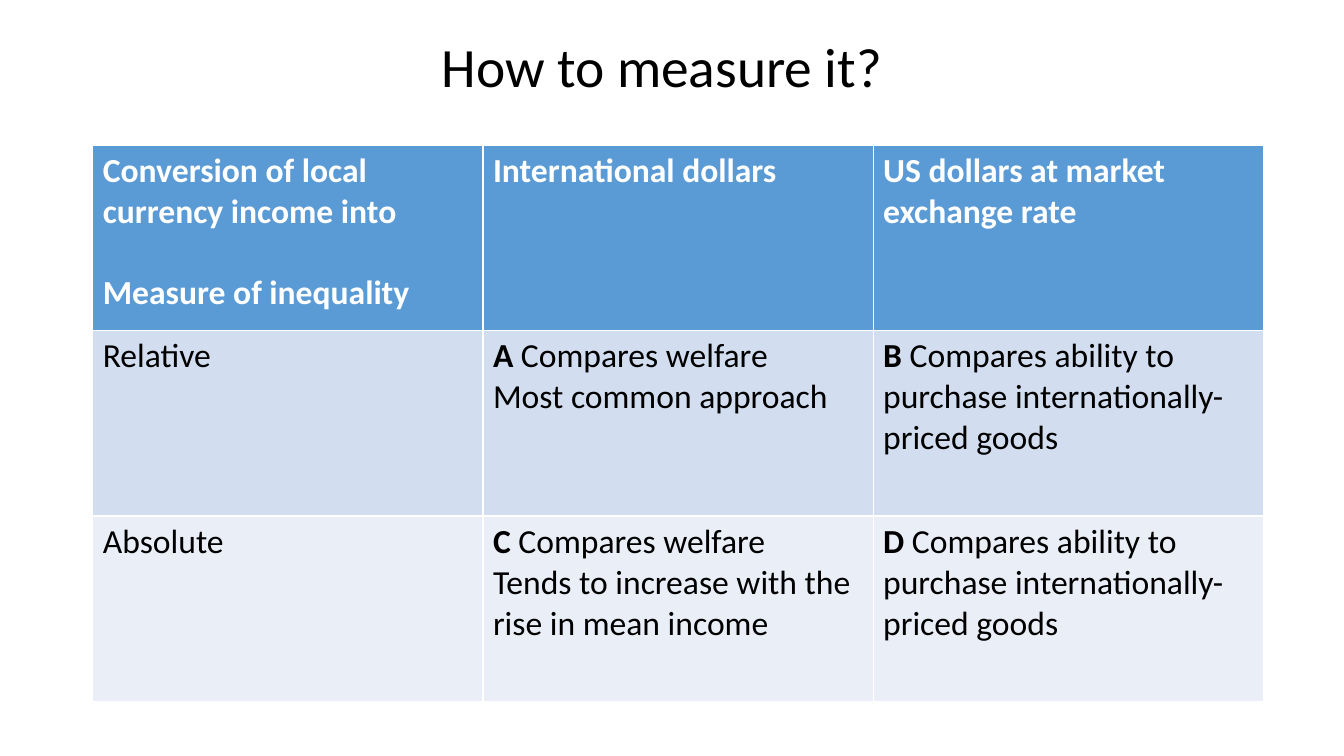
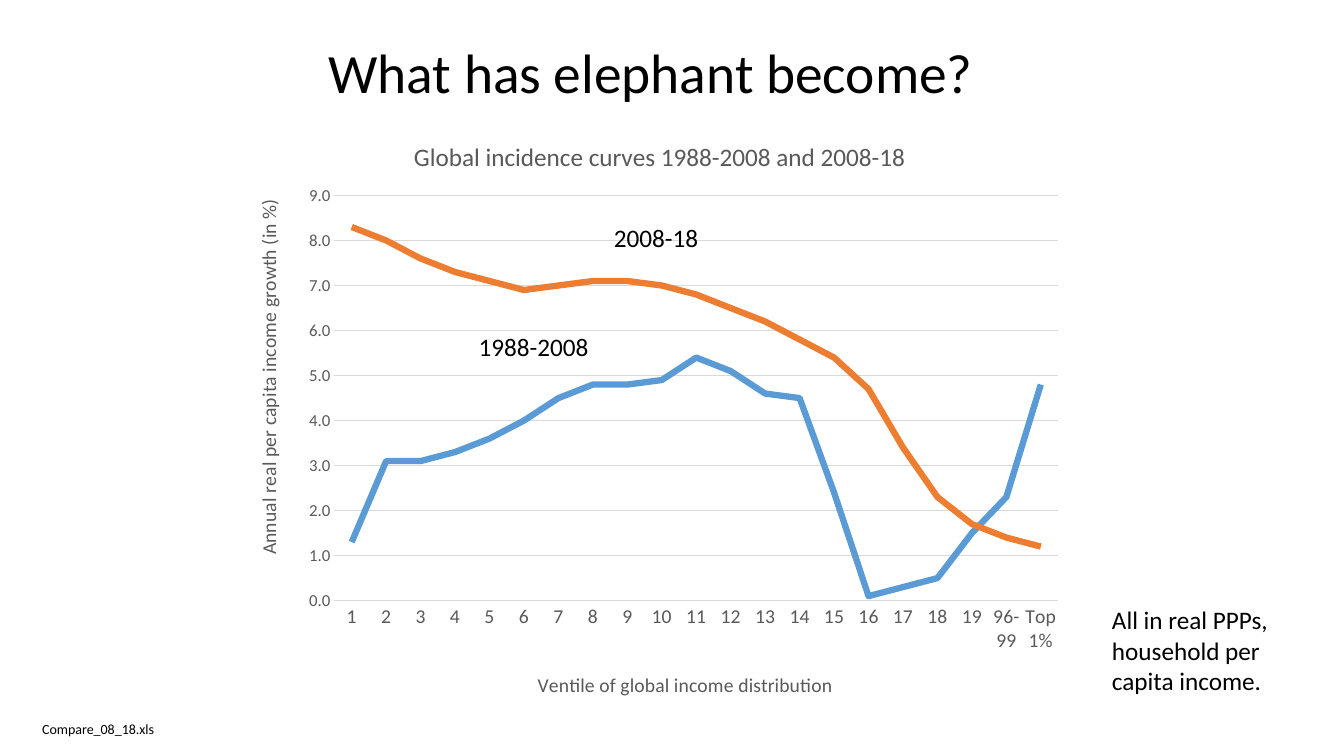
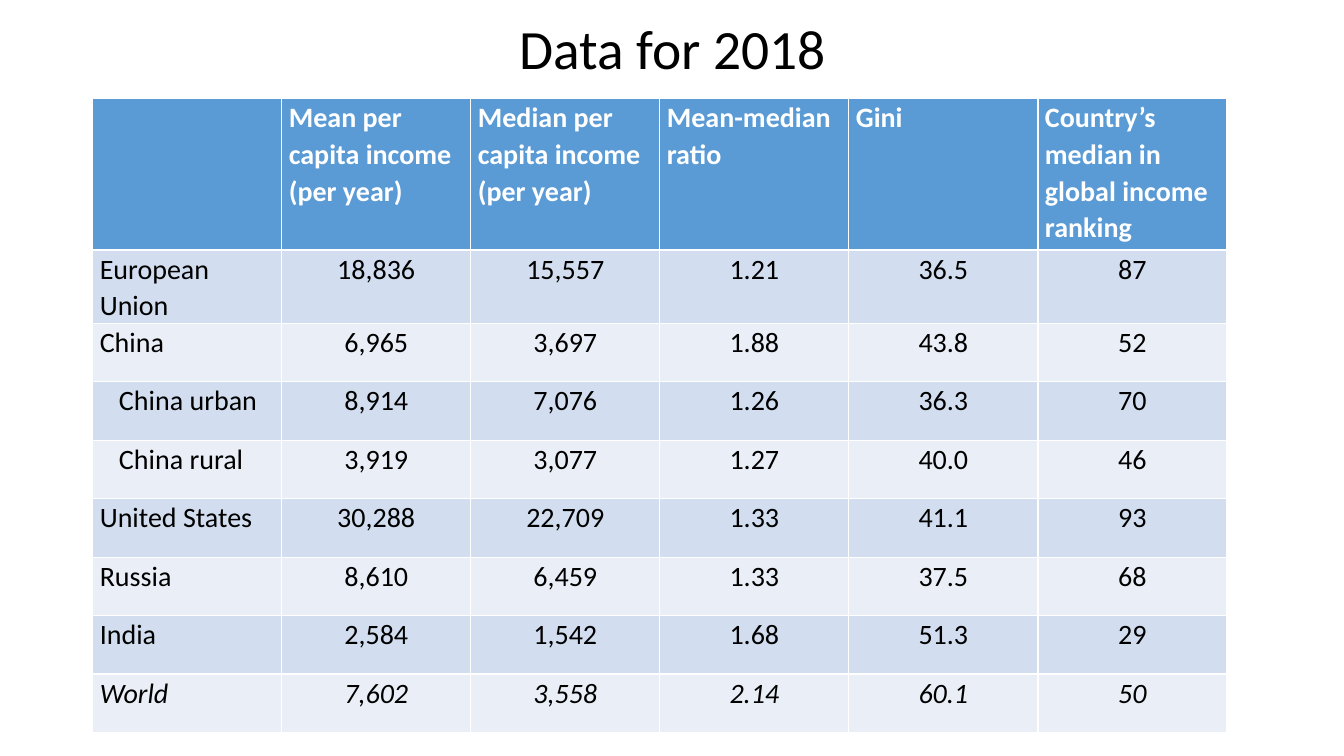
from lxml import etree
from pptx import Presentation
from pptx.chart.data import CategoryChartData
from pptx.dml.color import RGBColor
from pptx.enum.chart import XL_CHART_TYPE, XL_TICK_MARK
from pptx.enum.text import MSO_ANCHOR, MSO_AUTO_SIZE, PP_ALIGN
from pptx.oxml import parse_xml
from pptx.oxml.ns import nsdecls, qn
from pptx.util import Inches, Pt

LINE = XL_CHART_TYPE.LINE
NO_TICK = XL_TICK_MARK.NONE
MIDDLE = MSO_ANCHOR.MIDDLE
NO_FIT = MSO_AUTO_SIZE.NONE
CENTER = PP_ALIGN.CENTER
LEFT = PP_ALIGN.LEFT

BLACK = RGBColor(0x00, 0x00, 0x00)
WHITE = RGBColor(0xFF, 0xFF, 0xFF)
BLUE = RGBColor(0x5B, 0x9B, 0xD5)
ORANGE = RGBColor(0xED, 0x7D, 0x31)
GRAY = RGBColor(0x59, 0x59, 0x59)
RULE = RGBColor(0xD9, 0xD9, 0xD9)
BANDS = RGBColor(0xEA, 0xEF, 0xF7), RGBColor(0xD2, 0xDE, 0xEF)
FACE = "Calibri"

METHODS = [
    ["Conversion of local currency income into\nMeasure of inequality",
     "International dollars", "US dollars at market exchange rate"],
    ["Relative", "A| Compares welfare\nMost common approach",
     "B| Compares ability to purchase internationally-priced goods"],
    ["Absolute",
     "C| Compares welfare\nTends to increase with the rise in mean income",
     "D| Compares ability to purchase internationally-priced goods"],
]
INCOMES = [
    ["", "Mean per capita income (per year)",
     "Median per capita income (per year)", "Mean-median ratio", "Gini",
     "Country’s median in global income ranking"],
    ["European Union", "18,836", "15,557", "1.21", "36.5", "87"],
    ["China", "6,965", "3,697", "1.88", "43.8", "52"],
    ["China urban", "8,914", "7,076", "1.26", "36.3", "70"],
    ["China rural", "3,919", "3,077", "1.27", "40.0", "46"],
    ["United States", "30,288", "22,709", "1.33", "41.1", "93"],
    ["Russia", "8,610", "6,459", "1.33", "37.5", "68"],
    ["India", "2,584", "1,542", "1.68", "51.3", "29"],
    ["World", "7,602", "3,558", "2.14", "60.1", "50"],
]
GROUPS = [str(n) for n in range(1, 20)] + ["96-99", "Top 1%"]
CURVES = [
    ("1988-2008", BLUE, [1.3, 3.1, 3.1, 3.3, 3.6, 4, 4.5, 4.8, 4.8, 4.9, 5.4,
                         5.1, 4.6, 4.5, 2.4, 0.1, 0.3, 0.5, 1.5, 2.3, 4.8]),
    ("2008-18", ORANGE, [8.3, 8, 7.6, 7.3, 7.1, 6.9, 7, 7.1, 7.1, 7, 6.8,
                         6.5, 6.2, 5.8, 5.4, 4.7, 3.4, 2.3, 1.7, 1.4, 1.2]),
]


def style(font, size, color=BLACK, bold=False):
    font.name, font.size, font.bold = FACE, Pt(size), bold
    font.color.rgb = color


def place(node, index, **spots):
    """Give a chart part a manual layout, in fractions of the chart."""
    old = node.find(qn("c:layout"))
    if old is not None:
        node.remove(old)
    layout = parse_xml(f"<c:layout {nsdecls('c')}><c:manualLayout/></c:layout>")
    manual = layout[0]

    def add(tag, value):
        etree.SubElement(manual, qn(f"c:{tag}")).set("val", str(value))

    if "w" in spots:
        add("layoutTarget", "inner")
    add("xMode", "edge")
    add("yMode", "edge")
    for tag, value in spots.items():
        add(tag, value)
    node.insert(index, layout)


def caption(title, text, size, x, y):
    """Write a chart or axis title and fix its top left corner."""
    para = title.text_frame.paragraphs[0]
    para.text = text
    style(para.font, size, GRAY)
    place(title._element, 1, x=x, y=y)


class Deck:
    def __init__(self):
        self.show = Presentation()
        self.show.slide_width = Inches(13.33)
        self.show.slide_height = Inches(7.5)

    def start(self, text, *box):
        """Add a slide with its title at left, top, width, height."""
        self.slide = self.show.slides.add_slide(self.show.slide_layouts[5])
        title = self.slide.shapes.title
        title.left, title.top, title.width, title.height = map(Inches, box)
        frame = title.text_frame
        frame.text = text
        frame.auto_size = NO_FIT
        frame.vertical_anchor = MIDDLE
        para = frame.paragraphs[0]
        para.alignment, para.line_spacing = CENTER, 0.9
        style(para.font, 39.6)

    def note(self, text, *box, size=18):
        frame = self.slide.shapes.add_textbox(*map(Inches, box)).text_frame
        frame.word_wrap = True
        frame.text = text
        style(frame.paragraphs[0].font, size)

    def table(self, rows, top, width, heights, size):
        grid = self.slide.shapes.add_table(
            len(rows), len(rows[0]), Inches(0.92), Inches(top),
            Inches(width), Inches(sum(heights))).table
        for r, (row, height) in enumerate(zip(rows, heights)):
            grid.rows[r].height = Inches(height)
            for c, text in enumerate(row):
                cell = grid.cell(r, c)
                cell.fill.solid()
                cell.fill.fore_color.rgb = BANDS[r % 2] if r else BLUE
                self.fill(cell, text, size, head=r == 0)
        return grid

    def fill(self, cell, text, size, head):
        """Write lines into a cell; what comes before a bar is bold."""
        for n, line in enumerate(text.split("\n")):
            frame = cell.text_frame
            para = frame.add_paragraph() if n else frame.paragraphs[0]
            style(para.font, size, WHITE if head else BLACK, head)
            lead, bar, rest = line.partition("|")
            if bar:
                for part, bold in ((lead, True), (rest, False)):
                    run = para.add_run()
                    run.text, run.font.bold = part, bold
            else:
                para.text = line
            if n and head:
                para.space_before = Pt(29)

    def chart(self, *box):
        data = CategoryChartData(number_format="0.0")
        data.categories = GROUPS
        for name, _, values in CURVES:
            data.add_series(name, values)
        chart = self.slide.shapes.add_chart(LINE, *map(Inches, box), data).chart
        style(chart.font, 10)
        chart.has_legend = False
        chart.has_title = True
        caption(chart.chart_title,
                "Global incidence curves 1988-2008 and 2008-18", 18, 0.2, 0.04)
        plot = chart.plots[0]
        plot.vary_by_categories = False
        for curve, (_, color, _) in zip(plot.series, CURVES):
            curve.smooth = False
            curve.format.line.width = Pt(4.5)
            curve.format.line.color.rgb = color

        across, up = chart.category_axis, chart.value_axis
        for axis, size in ((across, 14), (up, 12)):
            style(axis.tick_labels.font, size, GRAY)
            axis.major_tick_mark = axis.minor_tick_mark = NO_TICK
        caption(across.axis_title, "Ventile of global income distribution",
                14, 0.35, 0.92)
        caption(up.axis_title, "Annual real per capita income growth (in %)",
                14, 0.01, 0.14)
        up.minimum_scale, up.maximum_scale, up.major_unit = 0, 9, 1
        up.tick_labels.number_format = "0.0"
        up.tick_labels.number_format_is_linked = False
        up.format.line.fill.background()
        for line in (across.format.line, up.major_gridlines.format.line):
            line.color.rgb, line.width = RULE, Pt(0.75)
        place(chart._chartSpace.chart.plotArea, 0, x=0.11, y=0.14, w=0.87, h=0.67)


def tune(grid):
    """Set the tight cells, centred figures, sub-rows and italic last row."""
    last = len(grid.rows) - 1
    for r, row in enumerate(grid.rows):
        for c, cell in enumerate(row.cells):
            nested = cell.text.startswith("China ")
            cell.margin_left = Inches(0.26 if nested else 0.07)
            cell.margin_right = Inches(0.07)
            cell.margin_top = cell.margin_bottom = 0
            para = cell.text_frame.paragraphs[0]
            para.line_spacing, para.space_after = 1.07, Pt(8)
            para.alignment = CENTER if r and c else LEFT
            para.font.italic = r == last


def main():
    deck = Deck()
    deck.start("How to measure it?", 0.92, 0.33, 11.29, 0.72)
    deck.table(METHODS, 1.44, 11.61, [1.84] * 3, 24)

    deck.start("What has elephant become?", 0.9, 0.4, 11.11, 0.7)
    deck.chart(2.41, 1.1, 8.25, 6)
    deck.note("All in real PPPs, household per capita income.",
              10.93, 5.95, 2.15, 1.01)
    deck.note("2008-18", 5.99, 2.16, 1.36, 0.4)
    deck.note("1988-2008", 4.65, 3.24, 1.34, 0.4)
    deck.note("Compare_08_18.xls", 0.32, 7.1, 3.63, 0.27, size=10)

    deck.start("Data for 2018", 1.3, 0.28, 10.74, 0.47)
    tune(deck.table(INCOMES, 0.98, 11.25, [1.5] + [0.58] * 8, 20))
    deck.show.save("out.pptx")


if __name__ == "__main__":
    main()
